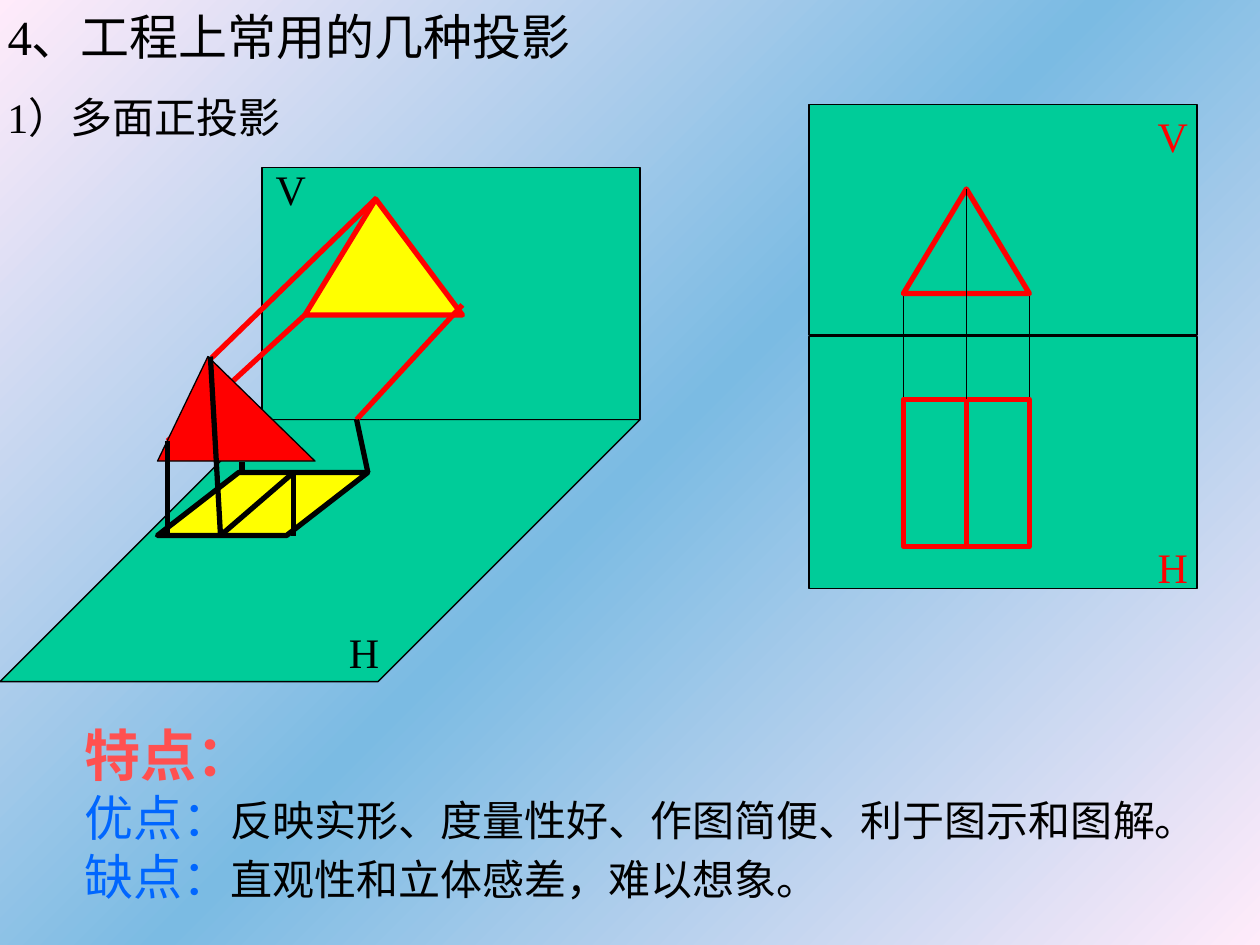
from copy import deepcopy
from dataclasses import dataclass

import pptx
import pptx.dml.color
import pptx.enum.shapes
import pptx.enum.text
import pptx.oxml
import pptx.oxml.ns
import pptx.util

Inches = pptx.util.Inches
Kind = pptx.enum.shapes.MSO_SHAPE
FONT = "Times New Roman"
THIN, THICK = 0.75, 3
COLORS = {
    "black": "000000", "red": "FF0000", "yellow": "FFFF00", "green": "00CC99",
    "coral": "FF5050", "blue": "0066FF", "pink": "FFEBFA", "sky": "7BBBE3",
}


@dataclass
class Form:
    kind: Kind
    box: tuple[float, float, float, float]
    fill: str
    line: str = "black"
    width: float = THIN
    adj: float | None = None


@dataclass
class Line:
    start: tuple[float, float]
    end: tuple[float, float]
    color: str = "black"
    width: float = THICK


@dataclass
class Label:
    text: str
    box: tuple[float, float, float, float]
    color: str = "black"


@dataclass
class Part:
    text: str
    size: int
    color: str
    bold: bool = False


SPACE = [
    Form(Kind.PARALLELOGRAM, (0, 3.33, 5.08, 2.08), "green", adj=1),
    Form(Kind.RECTANGLE, (2.08, 1.33, 3, 2), "green"),
    Form(Kind.ISOSCELES_TRIANGLE, (2.42, 1.58, 1.25, 0.92), "yellow", "red", THICK, 0.45),
    Line((1.68, 2.84), (2.99, 1.57), "red"),
    Line((2.83, 3.33), (3.67, 2.42), "red"),
    Line((1.33, 3.5), (2.42, 2.5), "red"),
    Form(Kind.ISOSCELES_TRIANGLE, (1.25, 2.83, 1.25, 0.83), "red", adj=0.32),
    Form(Kind.PARALLELOGRAM, (1.25, 3.75, 1.67, 0.5), "yellow", "black", THICK, 1.29),
    Line((2.83, 3.33), (2.92, 3.75)),
    Line((2.33, 3.75), (2.33, 4.25)),
    Line((1.67, 2.83), (1.75, 4.25)),
    Line((1.33, 3.5), (1.33, 4.25)),
    Line((1.75, 4.25), (2.33, 3.75)),
    Line((1.92, 3.75), (1.92, 3.67)),
]
FLAT = [
    Form(Kind.RECTANGLE, (6.42, 2.67, 3.08, 2), "green"),
    Form(Kind.RECTANGLE, (6.42, 0.83, 3.08, 1.83), "green"),
    Line((7.17, 2.33), (7.17, 3.17), width=THIN),
    Line((8.17, 3.17), (8.17, 2.33), width=THIN),
]
FRONT = Form(Kind.ISOSCELES_TRIANGLE, (7.17, 1.5, 1, 0.83), "green", "red", THICK)
PLAN = Form(Kind.RECTANGLE, (7.17, 3.17, 1, 1.17), "green", "red", THICK)
RIDGE = Line((7.67, 3.17), (7.67, 4.33), "red")
AXIS = Line((7.67, 1.5), (7.67, 3.17), width=THIN)
LABELS = [
    Label("1）多面正投影", (-0.04, 0.68, 2.44, 0.5)),
    Label("H", (2.67, 4.92, 0.44, 0.5)),
    Label("V", (2.09, 1.25, 0.44, 0.5)),
    Label("V", (9.09, 0.83, 0.44, 0.5), "red"),
    Label("H", (9.09, 4.25, 0.44, 0.5), "red"),
]
NOTES = [
    [Part("特点：", 32, "coral", True)],
    [Part("优点：", 28, "blue"),
     Part("反映实形、度量性好、作图简便、利于图示和图解。", 24, "black")],
    [Part("缺点：", 28, "blue"), Part("直观性和立体感差，难以想象。", 24, "black")],
]


def rgb(name: str) -> pptx.dml.color.RGBColor:
    return pptx.dml.color.RGBColor.from_string(COLORS[name])


def style(font, size: float, color: str, bold: bool = False) -> None:
    font.name, font.size, font.bold = FONT, pptx.util.Pt(size), bold
    font.color.rgb = rgb(color)


def set_line(line, color: str, width: float) -> None:
    line.color.rgb = rgb(color)
    line.width = pptx.util.Pt(width)


def draw_form(slide, form: Form):
    shape = slide.shapes.add_shape(form.kind, *map(Inches, form.box))
    shape.shadow.inherit = False
    shape.fill.solid()
    shape.fill.fore_color.rgb = rgb(form.fill)
    set_line(shape.line, form.line, form.width)
    if form.adj is not None:
        shape.adjustments[0] = form.adj
    return shape


def draw_line(slide, line: Line):
    link = slide.shapes.add_connector(
        pptx.enum.shapes.MSO_CONNECTOR.STRAIGHT, *map(Inches, line.start + line.end))
    set_line(link.line, line.color, line.width)
    props = link.element.find(pptx.oxml.ns.qn("p:spPr"))
    props.append(pptx.oxml.parse_xml(f"<a:effectLst {pptx.oxml.ns.nsdecls('a')}/>"))
    return link


def draw_all(slide, items: list[Form | Line]) -> None:
    for item in items:
        (draw_form if isinstance(item, Form) else draw_line)(slide, item)


def draw_label(slide, label: Label) -> None:
    frame = slide.shapes.add_textbox(*map(Inches, label.box)).text_frame
    frame.text = label.text
    frame.word_wrap = False
    frame.auto_size = pptx.enum.text.MSO_AUTO_SIZE.SHAPE_TO_FIT_TEXT
    style(frame.paragraphs[0].runs[0].font, 24, label.color)


def draw_title(slide) -> None:
    title = slide.shapes.title
    title.left, title.top, title.width, title.height = map(Inches, (-0.04, 0, 4.76, 0.57))
    frame = title.text_frame
    frame.text = "4、工程上常用的几种投影"
    frame.word_wrap = False
    frame.auto_size = pptx.enum.text.MSO_AUTO_SIZE.SHAPE_TO_FIT_TEXT
    frame.vertical_anchor = pptx.enum.text.MSO_ANCHOR.TOP
    para = frame.paragraphs[0]
    para.alignment = pptx.enum.text.PP_ALIGN.LEFT
    style(para.runs[0].font, 28, "black")


def draw_notes(slide) -> None:
    """Write the list of features below the two views."""
    frame = slide.shapes.add_textbox(*map(Inches, (0.57, 5.67, 9.03, 1.57))).text_frame
    frame.word_wrap = True
    for i, parts in enumerate(NOTES):
        para = frame.add_paragraph() if i else frame.paragraphs[0]
        for part in parts:
            run = para.add_run()
            run.text = part.text
            style(run.font, part.size, part.color, part.bold)


def paint_back(slide) -> None:
    fill = slide.background.fill
    fill.gradient()
    fill.gradient_angle = 135
    stops = next(slide.element.iter(pptx.oxml.ns.qn("a:gsLst")))
    stops.insert(1, deepcopy(stops[0]))
    for stop, place, color in zip(fill.gradient_stops, (0, 0.5, 1), ("pink", "sky", "pink")):
        stop.position = place
        stop.color.rgb = rgb(color)


def main() -> None:
    deck = pptx.Presentation()
    deck.slide_width, deck.slide_height = Inches(10), Inches(7.5)
    slide = deck.slides.add_slide(deck.slide_layouts[5])
    paint_back(slide)
    draw_title(slide)
    draw_all(slide, SPACE + FLAT)
    front, plan = draw_form(slide, FRONT), draw_form(slide, PLAN)
    ridge, axis = draw_line(slide, RIDGE), draw_line(slide, AXIS)
    ridge.begin_connect(plan, 0)
    ridge.end_connect(plan, 2)
    axis.begin_connect(front, 0)
    axis.end_connect(plan, 0)
    for label in LABELS:
        draw_label(slide, label)
    draw_notes(slide)
    deck.save("out.pptx")


if __name__ == "__main__":
    main()
